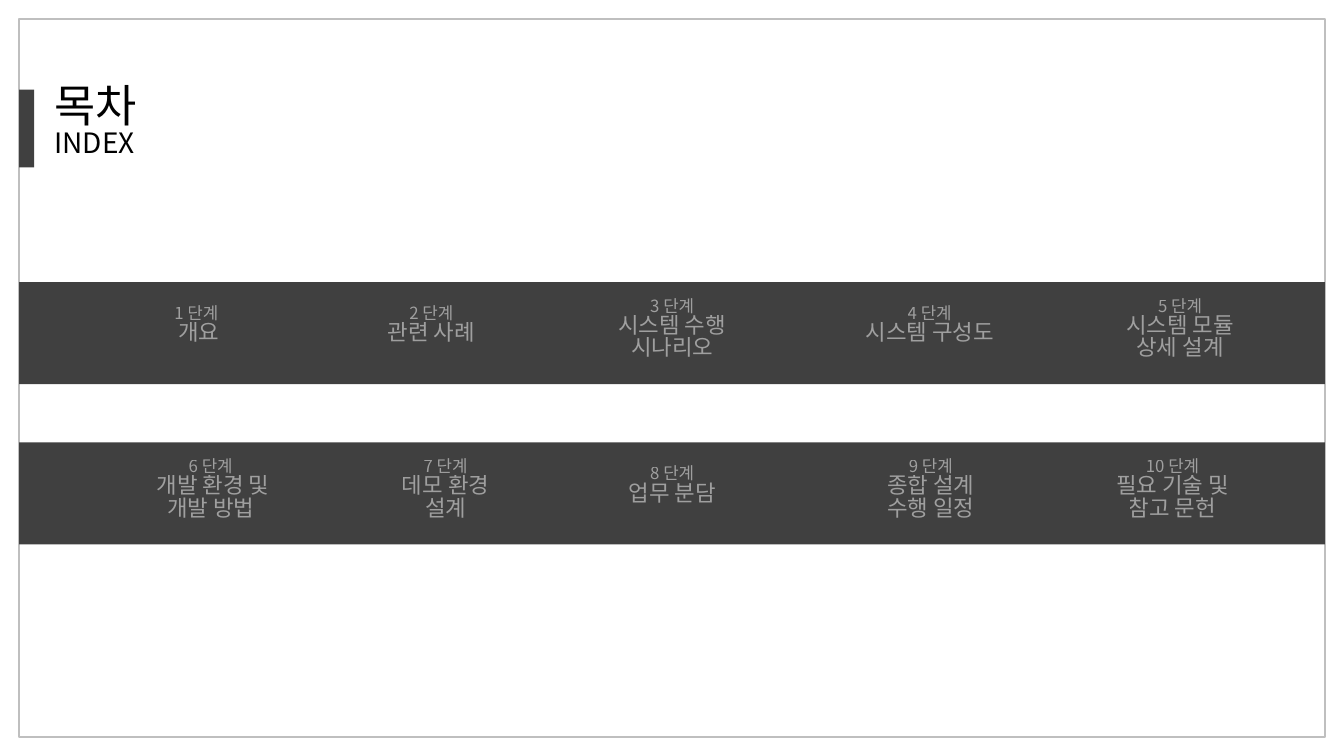
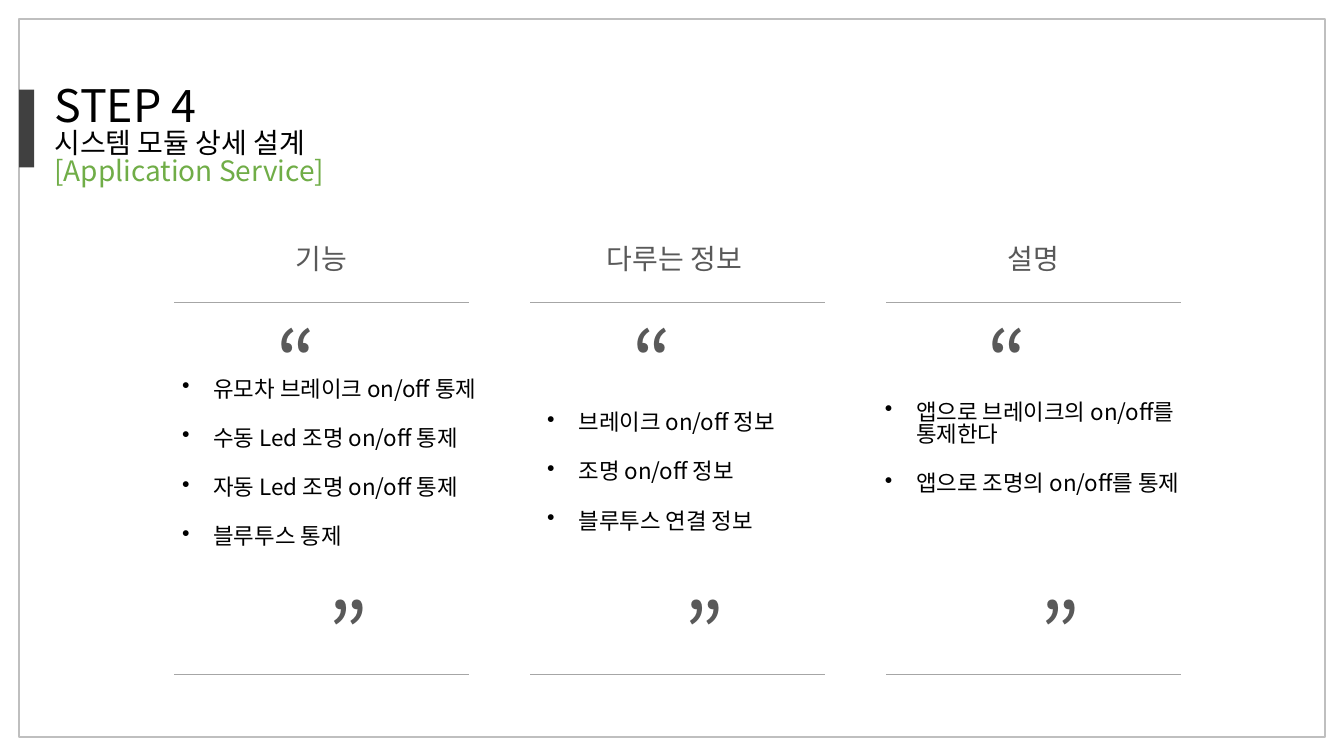
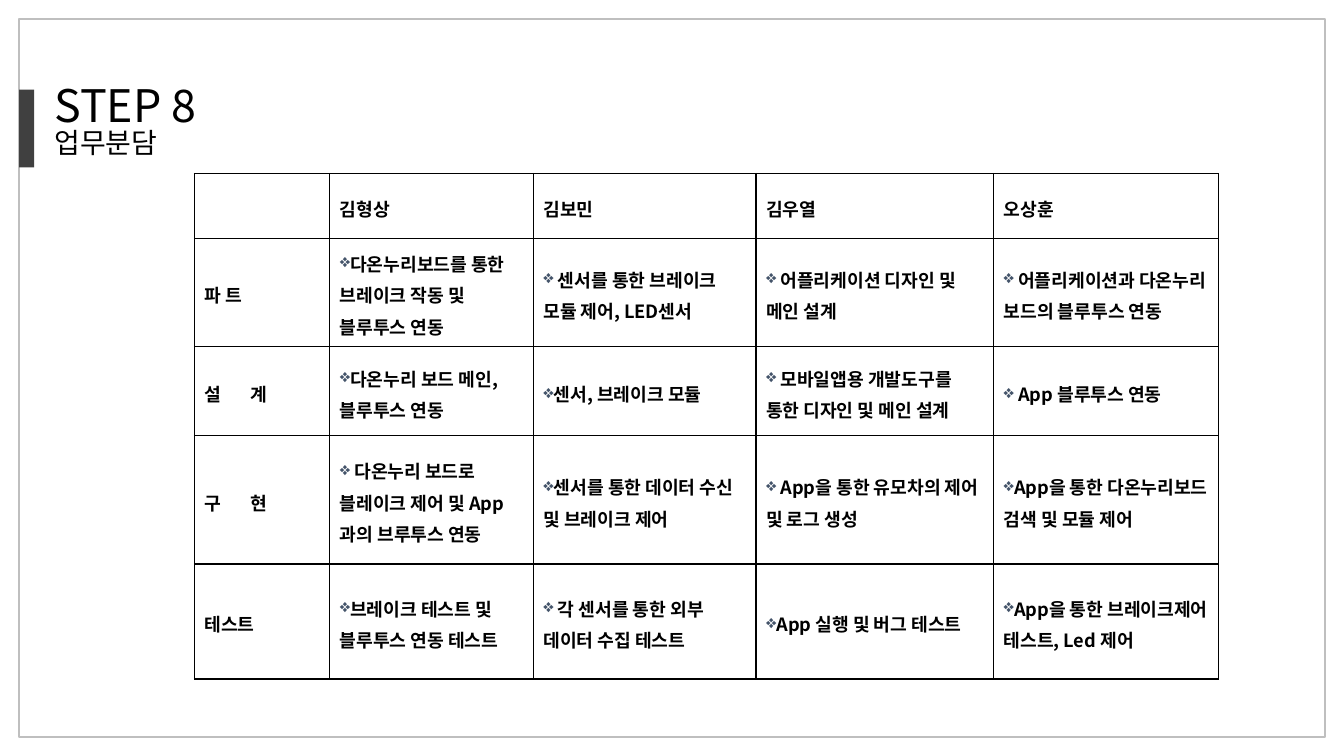
from pptx import Presentation
from pptx.util import Cm, Pt
from pptx.dml.color import RGBColor
from pptx.enum.shapes import MSO_SHAPE as Shape, MSO_CONNECTOR as Line
from pptx.enum.text import PP_ALIGN as Align, MSO_ANCHOR as Anchor
from pptx.oxml import parse_xml
from pptx.oxml.ns import nsdecls

# Shared style
FONT = "Noto Sans CJK KR"
BLACK, DARK, GREY, WHITE = "000000", "404040", "595959", "FFFFFF"
GREEN, NAVY, RULE, EDGE = "70AD47", "44546A", "A6A6A6", "BFBFBF"
WIDE, HIGH, EDGE_GAP = 33.87, 19.05, 0.48
INNER = WIDE - 2 * EDGE_GAP
TIGHT = 0.83  # line spacing in text boxes

# Index: (band top, [(centre, lines)])
BANDS = [
    (7.11, [(4.95, ["1 단계", " 개요"]),
            (10.87, ["2 단계", "관련 사례"]),
            (16.94, ["3 단계", "시스템 수행", "시나리오"]),
            (23.43, ["4 단계", "시스템 구성도"]),
            (29.74, ["5 단계", "시스템 모듈", "상세 설계"])]),
    (11.15, [(5.31, ["6 단계", " 개발 환경 및", "개발 방법"]),
             (11.23, ["7 단계", "데모 환경", "설계"]),
             (16.94, ["8 단계", "업무 분담"]),
             (23.46, ["9 단계", "종합 설계", "수행 일정"]),
             (29.55, ["10 단계", "필요 기술 및", "참고 문헌"])]),
]

# Service columns: (heading, left and top of the list, items)
COLUMNS = [
    ("기능", 4.34, 9.4, ["유모차 브레이크 on/off 통제", "수동 Led 조명 on/off 통제",
                       "자동 Led 조명 on/off 통제", "블루투스 통제"]),
    ("다루는 정보 ", 13.54, 10.24, ["브레이크 on/off 정보", "조명 on/off 정보",
                               "블루투스 연결 정보"]),
    ("설명", 22.05, 9.98, ["앱으로 브레이크의 on/off를 통제한다",
                         "앱으로 조명의 on/off를 통제"]),
]

# Work shared out by person
COLS = [3.41, 5.13, 5.61, 5.99, 5.66]
ROWS = [1.63, 2.74, 2.24, 3.23, 2.9]
SPREAD = {"설 계", "구 현"}
WORK = [
    ["", "김형상", "김보민", "김우열", "오상훈"],
    ["파 트", "다온누리보드를 통한 브레이크 작동 및 블루투스 연동",
     " 센서를 통한 브레이크 모듈 제어, LED센서",
     " 어플리케이션 디자인 및 메인 설계",
     " 어플리케이션과 다온누리 보드의 블루투스 연동"],
    ["설 계", "다온누리 보드 메인, 블루투스 연동", "센서, 브레이크 모듈",
     " 모바일앱용 개발도구를 통한 디자인 및 메인 설계", " App 블루투스 연동"],
    ["구 현", " 다온누리 보드로 블레이크 제어 및 App과의 브루투스 연동",
     "센서를 통한 데이터 수신 및 브레이크 제어",
     " App을 통한 유모차의 제어 및 로그 생성",
     "App을 통한 다온누리보드 검색 및 모듈 제어"],
    ["테스트", "브레이크 테스트 및 블루투스 연동 테스트",
     " 각 센서를 통한 외부 데이터 수집 테스트", "App 실행 및 버그 테스트",
     "App을 통한 브레이크제어 테스트, Led 제어"],
]


def color(code):
    return RGBColor.from_string(code)


def node(xml):
    """Make one drawing element from its tag and content."""
    tag, rest = xml[:-1].split(" ", 1) if xml.endswith("|") else (xml, "")
    return parse_xml(f"<a:{tag} {nsdecls('a')} {rest}")


def solid(code, alpha=100):
    return (f'<a:solidFill><a:srgbClr val="{code}">'
            f'<a:alpha val="{alpha * 1000}"/></a:srgbClr></a:solidFill>')


def style(par, size, code, bold=False, edge=None, alpha=100):
    """Format the runs; edge is the opacity of the text outline."""
    for run in par.runs:
        font = run.font
        font.name, font.size, font.bold = FONT, Pt(size), bold
        font.color.rgb = color(code)
        props = font._element
        props.find("{*}latin").addnext(node(f'ea typeface="{FONT}"/>|'))
        if alpha < 100:
            tone = props.find("{*}solidFill")[0]
            tone.append(node(f'alpha val="{alpha * 1000}"/>|'))
        if edge:
            props.insert(0, node(f'ln w="9525">{solid(code, edge)}</a:ln>|'))


def bullet(par, sign, hang=0, code=None):
    props = par._p.get_or_add_pPr()
    props.set("marL", str(Cm(hang)))
    props.set("indent", str(-Cm(hang)))
    if code:
        props.append(node(f'buClr><a:srgbClr val="{code}"/></a:buClr>'
                          .replace(">", " >", 1) + "|"))
    props.append(node(f'buChar char="{sign}"/>|'))


def text(slide, x, y, w, h, lines, align=Align.LEFT, edge=None, alpha=100):
    """Lines are (text, size, colour); the box drops a little with the first size."""
    drop = lines[0][1] * 0.0025
    frame = slide.shapes.add_textbox(Cm(x), Cm(y + drop), Cm(w), Cm(h)).text_frame
    frame.word_wrap = True
    frame.text = "\n".join(line[0] for line in lines)
    for par, (_, size, code) in zip(frame.paragraphs, lines):
        par.alignment, par.line_spacing = align, TIGHT
        style(par, size, code, edge=edge, alpha=alpha)
    return frame


def block(slide, x, y, w, h, fill=None, line=None):
    box = slide.shapes.add_shape(Shape.RECTANGLE, Cm(x), Cm(y), Cm(w), Cm(h))
    box.shadow.inherit = False
    if fill:
        box.fill.solid()
        box.fill.fore_color.rgb = color(fill)
    else:
        box.fill.background()
    if line:
        box.line.color.rgb, box.line.width = color(line), Pt(1)
    else:
        box.line.fill.background()


def rule(slide, x, y, w):
    line = slide.shapes.add_connector(Line.STRAIGHT, Cm(x), Cm(y), Cm(x + w), Cm(y))
    line.line.color.rgb, line.line.width = color(RULE), Pt(0.75)
    line._element.spPr.append(node("effectLst />|"))


def page(deck, title, *subs):
    """New slide with frame, accent bar and title."""
    slide = deck.slides.add_slide(deck.slide_layouts[6])
    block(slide, EDGE_GAP, EDGE_GAP, INNER, HIGH - 2 * EDGE_GAP, line=EDGE)
    block(slide, EDGE_GAP, 2.26, 0.38, 1.96, fill=DARK)
    lines = [(title, 32, BLACK)] + [(sub, 20, code) for sub, code in subs]
    text(slide, 1.12, 1.98, 13.49, 2.5, lines, edge=50)
    return slide


def index(deck):
    slide = page(deck, "목차", ("INDEX", BLACK))
    width = 4.06
    for top, steps in BANDS:
        block(slide, EDGE_GAP, top, INNER, 2.57, fill=DARK)
        for mid, (step, *names) in steps:
            pad = 0.45 if len(names) == 1 else 0.27
            lines = [(step, 12, WHITE)] + [(name, 16, WHITE) for name in names]
            text(slide, mid - width / 2, top + pad, width, 2.13, lines,
                 Align.CENTER, edge=50, alpha=50)


def service(deck):
    slide = page(deck, "STEP 4", ("시스템 모듈 상세 설계", BLACK),
                 ("[Application Service]", GREEN))
    left, pitch, width = 4.39, 8.97, 7.44
    for i, (head, x, y, items) in enumerate(COLUMNS):
        start = left + i * pitch
        mid = start + width / 2
        for level in (7.62, 17):
            rule(slide, start, level, width)
        # heading and quote marks: (text, size, shift from centre, top)
        for mark, size, shift, top in [(head, 20, 0, 6.05), ("“", 60, -0.65, 7.95),
                                       ("”", 60, 0.68, 14.81)]:
            text(slide, mid + shift - 4, top, 8, size * 0.05,
                 [(mark, size, GREY)], Align.CENTER, edge=30)
        frame = text(slide, x, y, 8.46, 4.5, [(item, 16, BLACK) for item in items])
        for n, par in enumerate(frame.paragraphs):
            par.space_before = Pt(19.2 if n else 0)
            bullet(par, "•", 0.79)


def border(cell):
    props = cell._tc.get_or_add_tcPr()
    for n, side in enumerate("LRTB"):
        props.insert(n, node(f'ln{side} w="12700">{solid(BLACK)}</a:ln{side}>|'))


def work(deck):
    slide = page(deck, "STEP 8", ("업무분담", BLACK))
    table = slide.shapes.add_table(len(ROWS), len(COLS), Cm(4.9), Cm(4.37),
                                   Cm(sum(COLS)), Cm(sum(ROWS))).table
    table.first_row = table.horz_banding = False
    for col, width in zip(table.columns, COLS):
        col.width = Cm(width)
    for r, (row, height) in enumerate(zip(WORK, ROWS)):
        table.rows[r].height = Cm(height)
        for c, words in enumerate(row):
            cell = table.cell(r, c)
            cell.fill.background()
            border(cell)
            cell.vertical_anchor = Anchor.MIDDLE
            par = cell.text_frame.paragraphs[0]
            par.text = words
            par.line_spacing, par.space_before = 1.2, Pt(2.6)
            style(par, 13, BLACK, bold=True)
            if r and c:
                bullet(par, "❖", code=NAVY)
            if words in SPREAD:
                par.runs[0].font._element.set("spc", "900")


def main():
    deck = Presentation()
    deck.slide_width, deck.slide_height = Cm(WIDE), Cm(HIGH)
    index(deck)
    service(deck)
    work(deck)
    deck.save("out.pptx")


if __name__ == "__main__":
    main()
